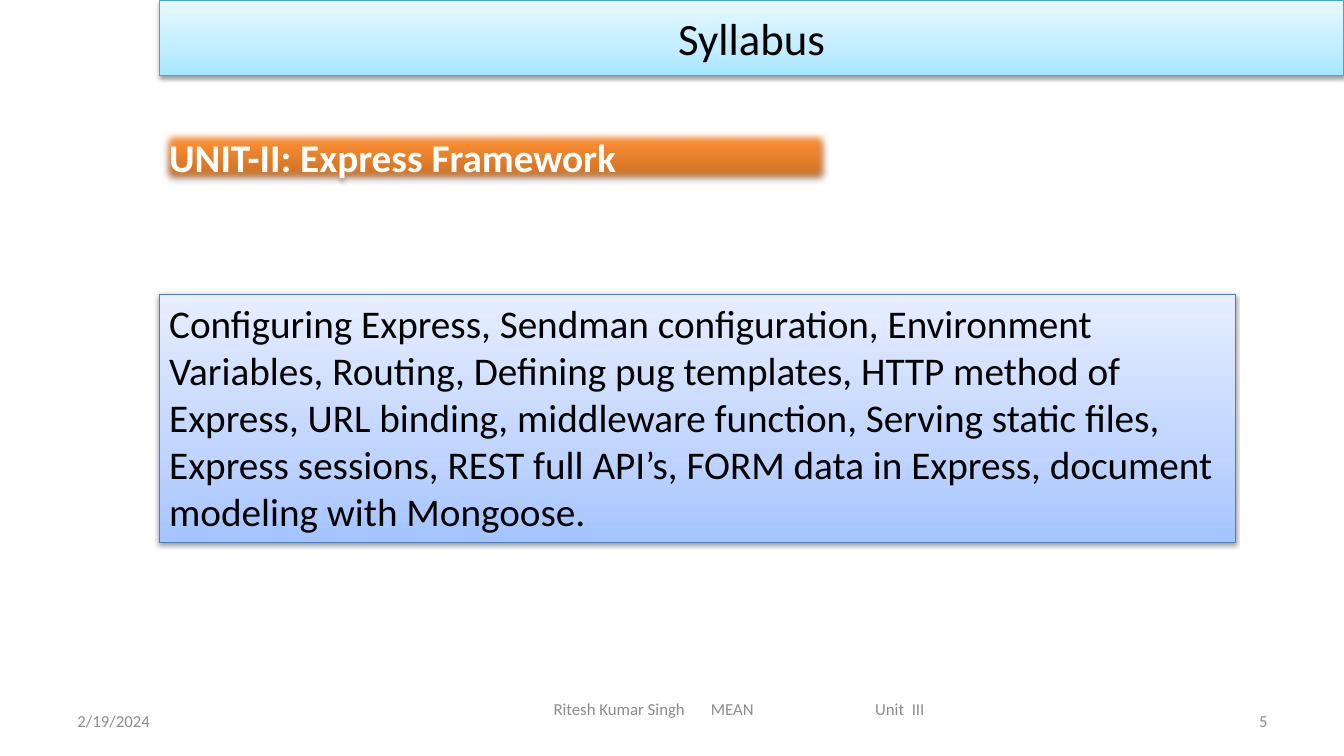
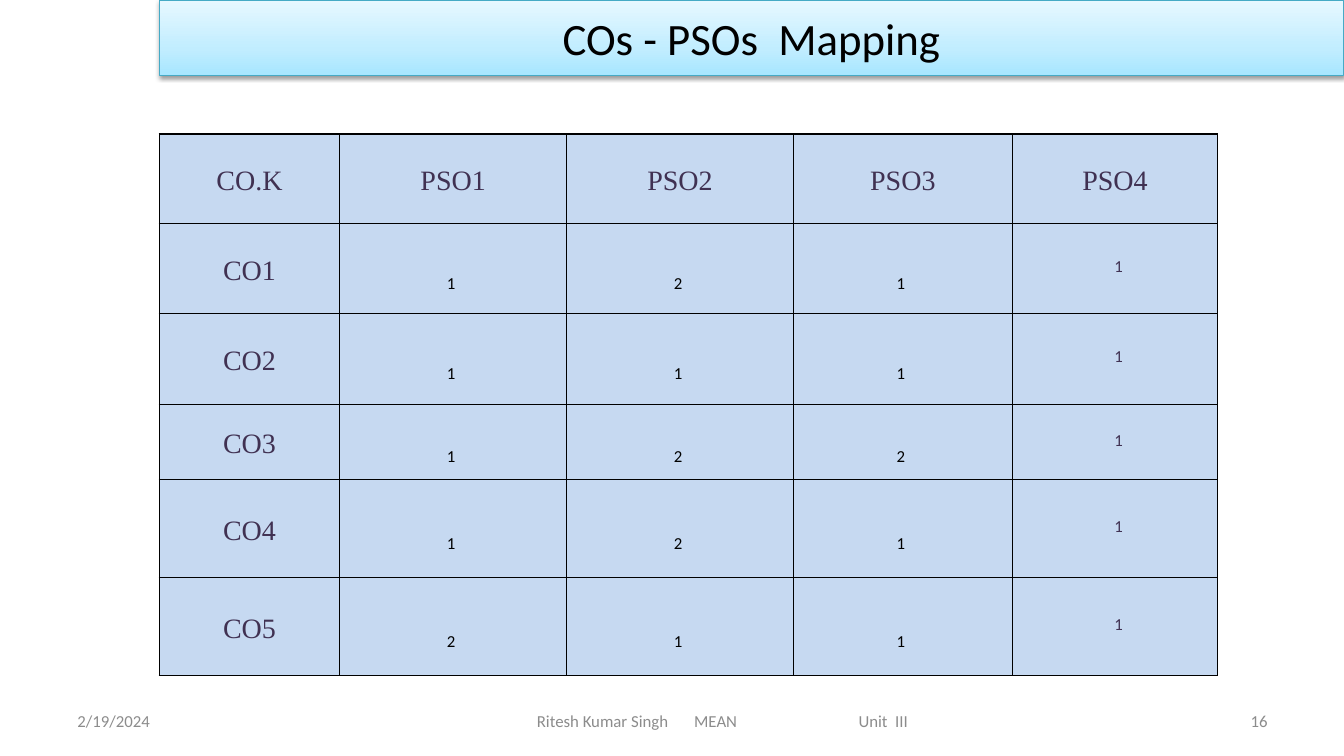
from dataclasses import dataclass
from typing import Any

from lxml.etree import SubElement
from pptx import Presentation
from pptx.dml.color import RGBColor
from pptx.enum.shapes import MSO_SHAPE as Shape
from pptx.enum.text import MSO_ANCHOR as Anchor, PP_ALIGN as Align
from pptx.oxml.ns import qn
from pptx.util import Emu, Inches, Pt

COLORS = {
    "black": "000000",
    "white": "FFFFFF",
    "footer": "8C8C8C",
    "title_line": "46AAC5",
    "body_line": "4B7EBC",
    "cell": "C6D9F1",
    "cell_text": "403152",
}
BODY_FONT = "Calibri"
TABLE_FONT = "Times New Roman"
DATE = "2/19/2024"
FOOTER = "Ritesh Kumar Singh\tMEAN\tUnit  III"
FOOTER_TEXT_WIDTH = 3.69
FOOTER_TABS = (1.56, 3.19)
TITLE_ONLY = 5


@dataclass(frozen=True)
class Box:
    left: float
    top: float
    width: float
    height: float

    def lengths(self) -> tuple[Emu, ...]:
        return tuple(Inches(n) for n in (self.left, self.top, self.width, self.height))


@dataclass(frozen=True)
class PanelStyle:
    stops: tuple[tuple[int, str], ...]
    line: str | None
    shadow_alpha: int
    shadow_distance: float
    soft_edge: float = 0


@dataclass(frozen=True)
class CellStyle:
    font: str
    size: int
    color: str
    spacing: Any
    margins: tuple[float, float, float, float]


TITLE_PANEL = PanelStyle(
    ((0, "A7E6FF"), (35, "C1EDFF"), (100, "E7F8FF")), "title_line", 38, 1.6)
UNIT_PANEL = PanelStyle(
    ((0, "C2691F"), (80, "FF9034"), (100, "FF9136")), None, 35, 1.8, 6)
BODY_PANEL = PanelStyle(
    ((0, "A4C4FF"), (35, "BFD4FF"), (100, "E6EEFF")), "body_line", 38, 1.6)

LABEL_CELL = CellStyle(TABLE_FONT, 20, "cell_text", 1.15, (0.07, 0, 0.07, 0))
VALUE_CELL = CellStyle(BODY_FONT, 12, "black", 1.0, (0.1, 0.35, 0.14, 0.05))
LAST_CELL = CellStyle(BODY_FONT, 12, "cell_text", Pt(12.3), (0.14, 0, 0.07, 0))

TITLE_BOX = Box(1.58, 0, 11.75, 0.75)
DATE_BOX = Box(0.67, 6.95, 3.11, 0.4)
NUMBER_BOX = Box(9.56, 6.95, 3.11, 0.4)

SYLLABUS = (
    "Configuring Express, Sendman configuration, Environment Variables, Routing, "
    "Defining pug templates, HTTP method of Express, URL binding, middleware "
    "function, Serving static files, Express sessions, REST full API’s, FORM data "
    "in Express, document modeling with Mongoose."
)
MAPPING = (
    ("CO.K", "PSO1", "PSO2", "PSO3", "PSO4"),
    ("CO1", "1", "2", "1", "1"),
    ("CO2", "1", "1", "1", "1"),
    ("CO3", "1", "2", "2", "1"),
    ("CO4", "1", "2", "1", "1"),
    ("CO5", "2", "1", "1", "1"),
)
COLUMN_WIDTHS = (1.79, 2.25, 2.25, 2.17, 2.04)
ROW_HEIGHTS = (0.89, 0.89, 0.9, 0.75, 0.97, 0.97)


def rgb(name: str) -> RGBColor:
    return RGBColor.from_string(COLORS[name])


def add_color(parent: Any, value: str) -> Any:
    return SubElement(parent, qn("a:srgbClr"), val=value)


def write(frame: Any, text: str, size: float, color: str, align: Any,
          font: str = BODY_FONT, bold: bool = False) -> Any:
    frame.word_wrap = True
    frame.text = text
    paragraph = frame.paragraphs[0]
    paragraph.alignment = align
    for run in paragraph.runs:
        run.font.name = font
        run.font.size = Pt(size)
        run.font.bold = bold
        run.font.color.rgb = rgb(color)
    return paragraph


def style_panel(shape: Any, style: PanelStyle) -> None:
    shape.fill.gradient()
    shape.fill.gradient_angle = 90
    properties = shape.element.spPr
    stop_list = properties.find(qn("a:gradFill")).find(qn("a:gsLst"))
    for stop in list(stop_list):
        stop_list.remove(stop)
    for position, color in style.stops:
        add_color(SubElement(stop_list, qn("a:gs"), pos=str(position * 1000)), color)
    if style.line:
        shape.line.color.rgb = rgb(style.line)
        shape.line.width = Pt(0.75)
    else:
        shape.line.fill.background()
    shape.shadow.inherit = False
    effects = properties.find(qn("a:effectLst"))
    shadow = SubElement(
        effects, qn("a:outerShdw"), blurRad=str(Pt(3.1)),
        dist=str(Pt(style.shadow_distance)), dir="5400000", rotWithShape="0")
    SubElement(add_color(shadow, COLORS["black"]), qn("a:alpha"),
               val=str(style.shadow_alpha * 1000))
    if style.soft_edge:
        SubElement(effects, qn("a:softEdge"), rad=str(Pt(style.soft_edge)))


def add_panel(slide: Any, box: Box, style: PanelStyle, text: str, color: str,
              align: Any, bold: bool = False) -> None:
    shape = slide.shapes.add_shape(Shape.RECTANGLE, *box.lengths())
    style_panel(shape, style)
    shape.text_frame.vertical_anchor = Anchor.TOP
    write(shape.text_frame, text, 28, color, align, bold=bold)


def add_footer_text(slide: Any, box: Box, text: str, align: Any) -> Any:
    frame = slide.shapes.add_textbox(*box.lengths()).text_frame
    frame.vertical_anchor = Anchor.MIDDLE
    write(frame, text, 12, "footer", align)
    return frame


def add_footer(slide: Any, box: Box, number: int) -> None:
    add_footer_text(slide, DATE_BOX, DATE, Align.LEFT)
    frame = add_footer_text(slide, box, FOOTER, Align.LEFT)
    frame.margin_left = Inches((box.width - FOOTER_TEXT_WIDTH) / 2)
    tab_list = SubElement(
        frame.paragraphs[0]._p.get_or_add_pPr(), qn("a:tabLst"))
    for position in FOOTER_TABS:
        SubElement(tab_list, qn("a:tab"), pos=str(Inches(position)), algn="l")
    add_footer_text(slide, NUMBER_BOX, str(number), Align.RIGHT)


def add_slide(presentation: Any, title: str, footer_box: Box, number: int) -> Any:
    slide = presentation.slides.add_slide(presentation.slide_layouts[TITLE_ONLY])
    shape = slide.shapes.title
    shape.left, shape.top, shape.width, shape.height = TITLE_BOX.lengths()
    style_panel(shape, TITLE_PANEL)
    shape.text_frame.vertical_anchor = Anchor.MIDDLE
    write(shape.text_frame, title, 32, "black", Align.CENTER)
    add_footer(slide, footer_box, number)
    return slide


def style_cell(cell: Any, text: str, style: CellStyle) -> None:
    properties = cell._tc.get_or_add_tcPr()
    for side in ("lnL", "lnR", "lnT", "lnB"):
        border = SubElement(properties, qn(f"a:{side}"), w=str(Pt(1)))
        add_color(SubElement(border, qn("a:solidFill")), COLORS["black"])
    cell.fill.solid()
    cell.fill.fore_color.rgb = rgb("cell")
    cell.vertical_anchor = Anchor.MIDDLE
    (cell.margin_left, cell.margin_top,
     cell.margin_right, cell.margin_bottom) = (Inches(n) for n in style.margins)
    paragraph = write(cell.text_frame, text, style.size, style.color,
                      Align.CENTER, style.font)
    paragraph.line_spacing = style.spacing


def cell_style(row: int, column: int) -> CellStyle:
    if row == 0 or column == 0:
        return LABEL_CELL
    return LAST_CELL if column == len(COLUMN_WIDTHS) - 1 else VALUE_CELL


def add_mapping_table(slide: Any) -> None:
    box = Box(1.58, 1.33, sum(COLUMN_WIDTHS), sum(ROW_HEIGHTS))
    table = slide.shapes.add_table(
        len(ROW_HEIGHTS), len(COLUMN_WIDTHS), *box.lengths()).table
    table.first_row = table.horz_banding = False
    for column, width in zip(table.columns, COLUMN_WIDTHS):
        column.width = Inches(width)
    for row, height in zip(table.rows, ROW_HEIGHTS):
        row.height = Inches(height)
    for row_index, values in enumerate(MAPPING):
        for column_index, text in enumerate(values):
            style_cell(table.cell(row_index, column_index), text,
                       cell_style(row_index, column_index))


def main() -> None:
    presentation = Presentation()
    presentation.slide_width = Inches(13.33)
    presentation.slide_height = Inches(7.5)

    syllabus = add_slide(presentation, "Syllabus", Box(4.75, 6.83, 5.17, 0.4), 5)
    add_panel(syllabus, Box(1.58, 1.27, 6.67, 0.57), UNIT_PANEL,
              "UNIT-II: Express Framework", "white", Align.JUSTIFY, bold=True)
    add_panel(syllabus, Box(1.58, 2.92, 10.67, 2.46), BODY_PANEL,
              SYLLABUS, "black", Align.LEFT)

    mapping = add_slide(
        presentation, "COs - PSOs  Mapping", Box(4.42, 6.95, 5.5, 0.4), 16)
    add_mapping_table(mapping)

    presentation.save("out.pptx")


if __name__ == "__main__":
    main()
